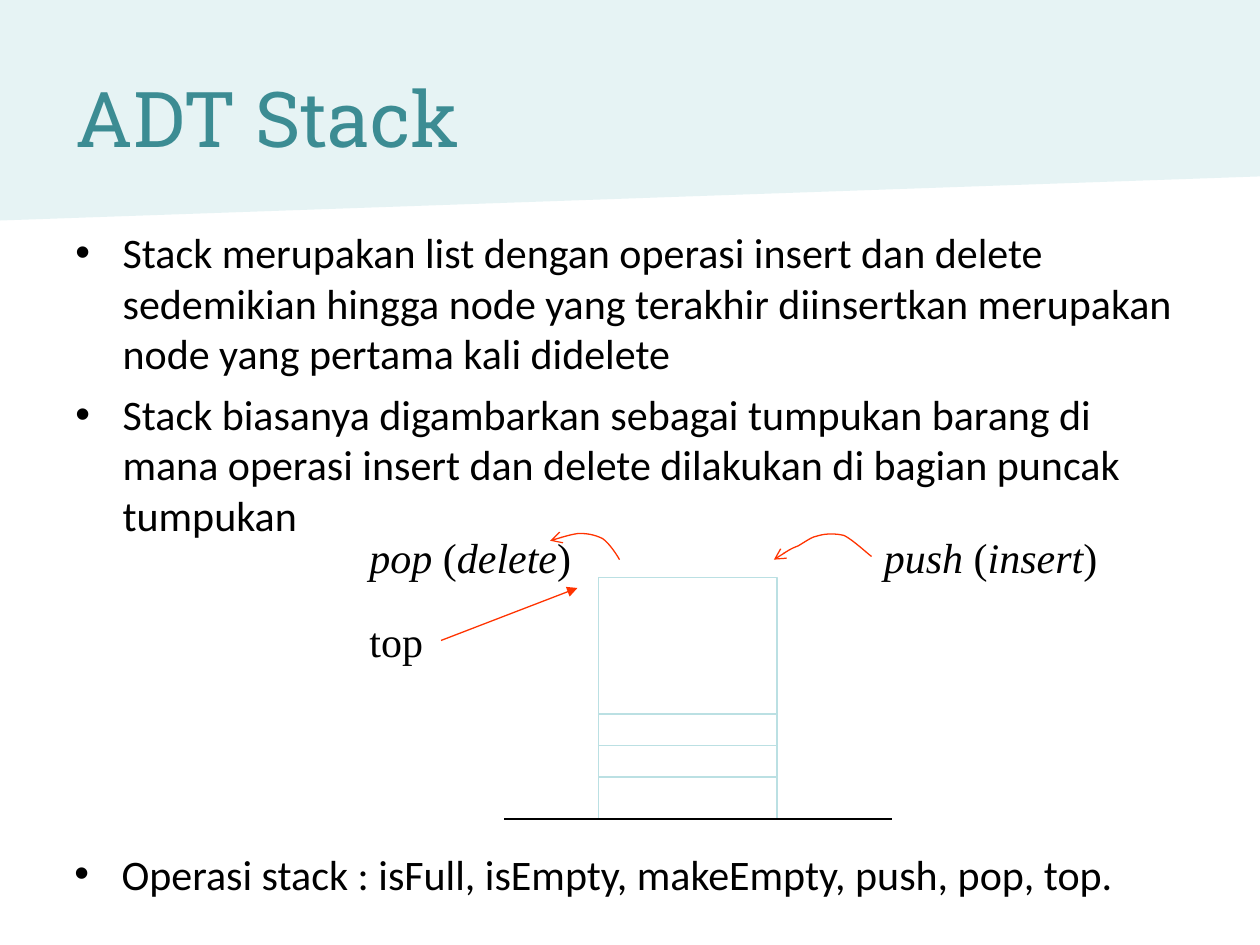
from lxml import etree
from pptx import Presentation
from pptx.dml.color import RGBColor
from pptx.enum.shapes import MSO_CONNECTOR, MSO_SHAPE
from pptx.enum.text import MSO_ANCHOR, MSO_AUTO_SIZE, PP_ALIGN
from pptx.oxml.ns import qn
from pptx.util import Emu, Pt

PX = 7620  # EMU per px: 120 px to the inch
BLACK = RGBColor(0x00, 0x00, 0x00)
TEAL = RGBColor(0x3C, 0x8C, 0x93)
PALE = RGBColor(0xBB, 0xE0, 0xE3)
RED = RGBColor(0xFF, 0x33, 0x00)
HEAD, BODY, LABEL = "Roboto Slab", "Calibri", "Times New Roman"
LEFT, MIDDLE, TOP = PP_ALIGN.LEFT, MSO_ANCHOR.MIDDLE, MSO_ANCHOR.TOP
GROW, FIXED = MSO_AUTO_SIZE.SHAPE_TO_FIT_TEXT, MSO_AUTO_SIZE.NONE
RECT, SLANT = MSO_SHAPE.RECTANGLE, MSO_SHAPE.FLOWCHART_MANUAL_INPUT
LINE = MSO_CONNECTOR.STRAIGHT


def emu(*vals):
    return [Emu(v * PX) for v in vals]


class Page:
    def __init__(self, slide):
        self.slide = slide
        self.shapes = slide.shapes

    def run(self, para, text, size, font, color, slope=None):
        run = para.add_run()
        run.text = text
        run.font.size = Pt(size)
        run.font.name = font
        run.font.color.rgb = color
        run.font.italic = slope

    def title(self, box, text):
        head = self.shapes.title
        head.left, head.top, head.width, head.height = emu(*box)
        frame = head.text_frame
        frame.vertical_anchor = MIDDLE
        frame.auto_size = FIXED
        para = frame.paragraphs[0]
        para.alignment = LEFT
        self.run(para, text, 44, HEAD, TEAL)

    def frame(self, box, fit):
        frame = self.shapes.add_textbox(*emu(*box)).text_frame
        frame.word_wrap = True
        frame.auto_size = fit
        frame.vertical_anchor = TOP
        return frame

    def bullets(self, box, items):
        frame = self.frame(box, FIXED)
        for i, text in enumerate(items):
            para = frame.add_paragraph() if i else frame.paragraphs[0]
            para.space_before = Pt(6)
            props = para._p.get_or_add_pPr()
            props.set("marL", str(45 * PX))
            props.set("indent", str(-45 * PX))
            etree.SubElement(props, qn("a:buFont"), typeface="Arial")
            etree.SubElement(props, qn("a:buChar"), char="•")
            self.run(para, text, 24, BODY, BLACK)

    def label(self, box, *parts):
        para = self.frame(box, GROW).paragraphs[0]
        para.space_before = Pt(15)
        for text, slope in parts:
            self.run(para, text, 24, LABEL, BLACK, slope)

    def shape(self, kind, box):
        shape = self.shapes.add_shape(kind, *emu(*box))
        shape.shadow.inherit = False
        return shape

    def band(self, box):
        band = self.shape(SLANT, box)
        band.rotation = 180
        band.line.fill.background()
        band.fill.solid()
        band.fill.fore_color.rgb = PALE
        tint = band.element.find(".//" + qn("a:srgbClr"))
        etree.SubElement(tint, qn("a:alpha"), val="36000")
        self.shapes.title.element.addprevious(band.element)

    def frame_box(self, box):
        rect = self.shape(RECT, box)
        rect.fill.background()
        self.stroke(rect, PALE)

    def stroke(self, shape, color, tip=None):
        shape.line.color.rgb = color
        shape.line.width = Pt(0.75)
        if tip:
            etree.SubElement(shape.line._get_or_add_ln(), qn("a:tailEnd"), type=tip)

    def line(self, ends, color, tip=None):
        line = self.shapes.add_connector(LINE, *emu(*ends))
        self.stroke(line, color, tip)
        etree.SubElement(line.element.spPr, qn("a:effectLst"))

    def curve(self, start, *points):
        pen = self.shapes.build_freeform(*start, scale=PX)
        pen.add_line_segments(points, close=False)
        curve = pen.convert_to_shape()
        # Join each three straight steps into one Bezier step
        steps = list(curve.element.iter(qn("a:lnTo")))
        for i in range(0, len(steps), 3):
            bend = etree.Element(qn("a:cubicBezTo"))
            steps[i].addprevious(bend)
            for step in steps[i:i + 3]:
                bend.append(step[0])
                step.getparent().remove(step)
        curve.shadow.inherit = False
        curve.fill.background()
        self.stroke(curve, RED, "arrow")


def main():
    deck = Presentation()
    deck.slide_width, deck.slide_height = emu(1200, 900)
    page = Page(deck.slides.add_slide(deck.slide_layouts[5]))

    # Header
    page.band((0, 0, 1200, 210))
    page.title((60, 36, 1080, 150), "ADT Stack")

    # Definition
    page.bullets((60, 210, 1080, 330), [
        "Stack merupakan list dengan operasi insert dan delete sedemikian "
        "hingga node yang terakhir diinsertkan merupakan node yang pertama "
        "kali didelete",
        "Stack biasanya digambarkan sebagai tumpukan barang di mana operasi "
        "insert dan delete dilakukan di bagian puncak tumpukan",
    ])

    # Stack on its ground line
    page.frame_box((570, 550, 170, 230))
    page.line((480, 780, 850, 780), BLACK)
    for y in range(680, 741, 30):
        page.line((570, y, 740, y), PALE)

    # Labels and arrows
    page.label((340, 580, 140, 60), ("top", False))
    page.line((420, 610, 550, 560), RED, "triangle")
    page.label((830, 500, 240, 60),
               ("push", True), (" (", False), ("insert", True), (")", False))
    page.curve((830, 530), (826, 527), (812, 514), (804, 510),
               (796, 508), (787, 508), (780, 510),
               (773, 511), (767, 516), (760, 520),
               (752, 523), (742, 530), (737, 533))
    page.label((340, 500, 260, 60),
               ("pop ", True), ("(", False), ("delete", True), (")", False))
    page.curve((590, 533), (588, 529), (580, 517), (574, 513),
               (566, 509), (559, 508), (551, 508),
               (544, 509), (530, 513), (524, 515))

    # Operations
    page.bullets((59, 802, 1080, 70),
                 ["Operasi stack : isFull, isEmpty, makeEmpty, push, pop, top."])

    deck.save("out.pptx")


if __name__ == "__main__":
    main()
